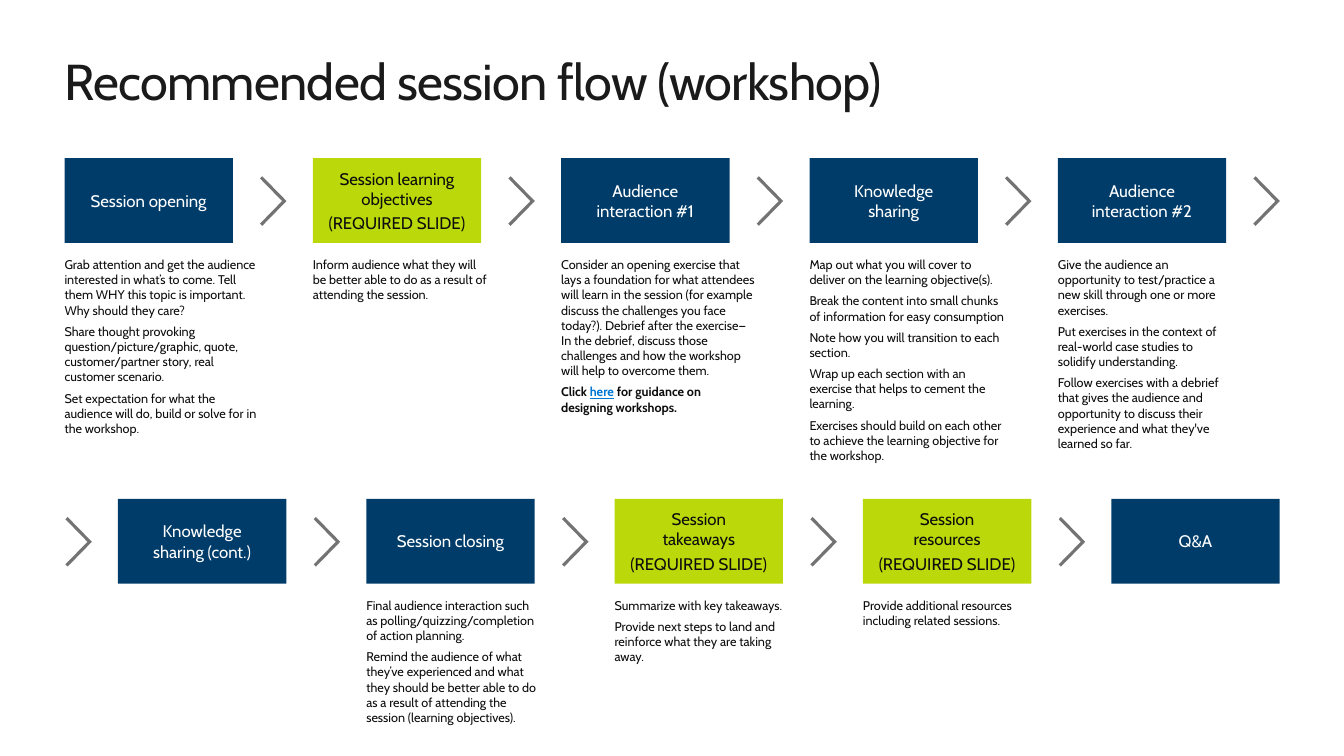
from dataclasses import dataclass

from lxml import etree
from pptx import Presentation
from pptx.dml.color import RGBColor
from pptx.enum import shapes, text
from pptx.oxml import ns
from pptx.util import Inches, Pt


@dataclass(frozen=True)
class Theme:
    font: str = "Cabin"
    title_color: str = "1A1A1A"
    ink: str = "0D0D0D"
    white: str = "FFFFFF"
    navy: str = "003C6A"
    lime: str = "BAD80A"
    link: str = "0078D4"
    chevron: str = "737373"
    title_size: float = 36
    step_size: float = 12
    note_size: float = 9
    step_gap: float = 2.9
    note_gap: float = 4.3
    chevron_width: float = 2.25


@dataclass(frozen=True)
class Span:
    words: str
    bold: bool = False
    link: bool = False


@dataclass(frozen=True)
class Step:
    label: str
    notes: tuple[str | tuple[Span, ...], ...] = ()
    note_width: float = 1.67
    note_height: float = 0.3
    required: bool = False


@dataclass(frozen=True)
class Row:
    top: float
    box_shift: float
    chevron_shift: float
    steps: tuple[Step, ...]


THEME = Theme()
LEFT, PITCH = 0.64, 2.463
BOX_WIDTH, BOX_HEIGHT = 1.67, 0.84
NOTE_DROP = 0.98
CHEVRON_DROP, CHEVRON_WIDTH, CHEVRON_HEIGHT = 0.19, 0.23, 0.47

# Content: two rows of five steps
ROWS = (
    Row(1.57, 0, 1.95, (
        Step("Session opening", (
            "Grab attention and get the audience interested in what’s to come. Tell them WHY "
            "this topic is important. Why should they care?",
            "Share thought provoking question/picture/graphic, quote, customer/partner story, "
            "real customer scenario.",
            "Set expectation for what the audience will do, build or solve for in the workshop.",
        ), 1.91, 1.78),
        Step("Session learning objectives", (
            "Inform audience what they will be better able to do as a result of attending "
            "the session.",
        ), 1.75, 0.45, required=True),
        Step("Audience interaction #1", (
            "Consider an opening exercise that lays a foundation for what attendees will learn "
            "in the session (for example discuss the challenges you face today?). Debrief after "
            "the exercise—In the debrief, discuss those challenges and how the workshop will "
            "help to overcome them.",
            (Span("Click ", bold=True), Span("here", bold=True, link=True),
             Span(" for guidance on designing workshops.", bold=True)),
        ), 1.92, 1.72),
        Step("Knowledge sharing", (
            "Map out what you will cover to deliver on the learning objective(s).",
            "Break the content into small chunks of information for easy consumption",
            "Note how you will transition to each section.",
            "Wrap up each section with an exercise that helps to cement the learning.",
            "Exercises should build on each other to achieve the learning objective for "
            "the workshop.",
        ), 1.93, 2.34),
        Step("Audience interaction #2", (
            "Give the audience an opportunity to test/practice a new skill through one or "
            "more exercises.",
            "Put exercises in the context of real-world case studies to solidify understanding.",
            "Follow exercises with a debrief that gives the audience and opportunity to discuss "
            "their experience and what they've learned so far.",
        ), 1.68, 1.93),
    )),
    Row(4.95, 0.53, 0.02, (
        Step("Knowledge sharing (cont.)"),
        Step("Session closing", (
            "Final audience interaction such as polling/quizzing/completion of action planning.",
            "Remind the audience of what they’ve experienced and what they should be better able "
            "to do as a result of attending the session (learning objectives).",
        ), 1.75, 1.3),
        Step("Session\ntakeaways", (
            "Summarize with key takeaways.",
            "Provide next steps to land and reinforce what they are taking away.",
        ), note_height=0.81, required=True),
        Step("Session\nresources", (
            "Provide additional resources including related sessions.",
        ), required=True),
        Step("Q&A"),
    )),
)


def add_span(para, words: str, size: float, color: str, bold: bool = False):
    span = para.add_run()
    span.text = words
    span.font.name = THEME.font
    span.font.size = Pt(size)
    span.font.bold = bold
    span.font.color.rgb = RGBColor.from_string(color)
    return span


def set_frame(frame, anchor, side: float = 0, edge: float = 0) -> None:
    frame.word_wrap = True
    frame.vertical_anchor = anchor
    frame.margin_left = frame.margin_right = Inches(side)
    frame.margin_top = frame.margin_bottom = Inches(edge)


def next_para(frame, index: int, gap: float):
    if index == 0:
        return frame.paragraphs[0]
    para = frame.add_paragraph()
    para.space_before = Pt(gap)
    return para


def add_title(page, words: str) -> None:
    title = page.shapes.title
    title.left, title.top = Inches(LEFT), Inches(0.5)
    title.width, title.height = Inches(12.05), Inches(0.61)
    set_frame(title.text_frame, text.MSO_ANCHOR.TOP)
    title.text_frame.auto_size = text.MSO_AUTO_SIZE.NONE
    para = title.text_frame.paragraphs[0]
    para.alignment = text.PP_ALIGN.LEFT
    span = add_span(para, words, THEME.title_size, THEME.title_color)
    span.font._element.set("spc", "-50")


def add_box(page, step: Step, left: float, top: float) -> None:
    box = page.shapes.add_shape(shapes.MSO_SHAPE.RECTANGLE, Inches(left), Inches(top),
                                Inches(BOX_WIDTH), Inches(BOX_HEIGHT))
    box.shadow.inherit = False
    box.fill.solid()
    box.fill.fore_color.rgb = RGBColor.from_string(THEME.lime if step.required else THEME.navy)
    box.line.fill.background()
    set_frame(box.text_frame, text.MSO_ANCHOR.MIDDLE, 0.1 if step.required else 0.2, 0.16)
    color = THEME.ink if step.required else THEME.white
    labels = [step.label] + ["(REQUIRED SLIDE)"] * step.required
    for index, label in enumerate(labels):
        para = next_para(box.text_frame, index, THEME.step_gap)
        para.alignment = text.PP_ALIGN.CENTER
        for number, line in enumerate(label.split("\n")):
            if number:
                para.add_line_break()
            add_span(para, line, THEME.step_size, color)


def add_notes(page, step: Step, left: float, top: float) -> None:
    box = page.shapes.add_textbox(Inches(left), Inches(top),
                                  Inches(step.note_width), Inches(step.note_height))
    set_frame(box.text_frame, text.MSO_ANCHOR.TOP)
    for index, note in enumerate(step.notes):
        para = next_para(box.text_frame, index, THEME.note_gap)
        for part in (Span(note),) if isinstance(note, str) else note:
            color = THEME.link if part.link else THEME.ink
            span = add_span(para, part.words, THEME.note_size, color, part.bold)
            span.font.underline = part.link


def add_chevron(page, left: float, top: float) -> None:
    builder = page.shapes.build_freeform(Inches(left), Inches(top))
    builder.add_line_segments([
        (Inches(left + CHEVRON_WIDTH), Inches(top + CHEVRON_HEIGHT / 2)),
        (Inches(left), Inches(top + CHEVRON_HEIGHT)),
    ], close=False)
    chevron = builder.convert_to_shape()
    chevron.shadow.inherit = False
    chevron.fill.background()
    chevron.line.color.rgb = RGBColor.from_string(THEME.chevron)
    chevron.line.width = Pt(THEME.chevron_width)
    # Sharp tip
    outline = chevron._element.spPr.find(ns.qn("a:ln"))
    etree.SubElement(outline, ns.qn("a:miter"), lim="800000")


def main() -> None:
    deck = Presentation()
    deck.slide_width, deck.slide_height = Inches(13.33), Inches(7.5)
    page = deck.slides.add_slide(deck.slide_layouts[5])
    add_title(page, "Recommended session flow (workshop)")

    # Steps, their notes and the chevrons between them
    for row in ROWS:
        for column, step in enumerate(row.steps):
            left = LEFT + column * PITCH
            add_box(page, step, left + row.box_shift, row.top)
            if step.notes:
                add_notes(page, step, left + row.box_shift, row.top + NOTE_DROP)
            add_chevron(page, left + row.chevron_shift, row.top + CHEVRON_DROP)

    deck.save("out.pptx")


if __name__ == "__main__":
    main()
